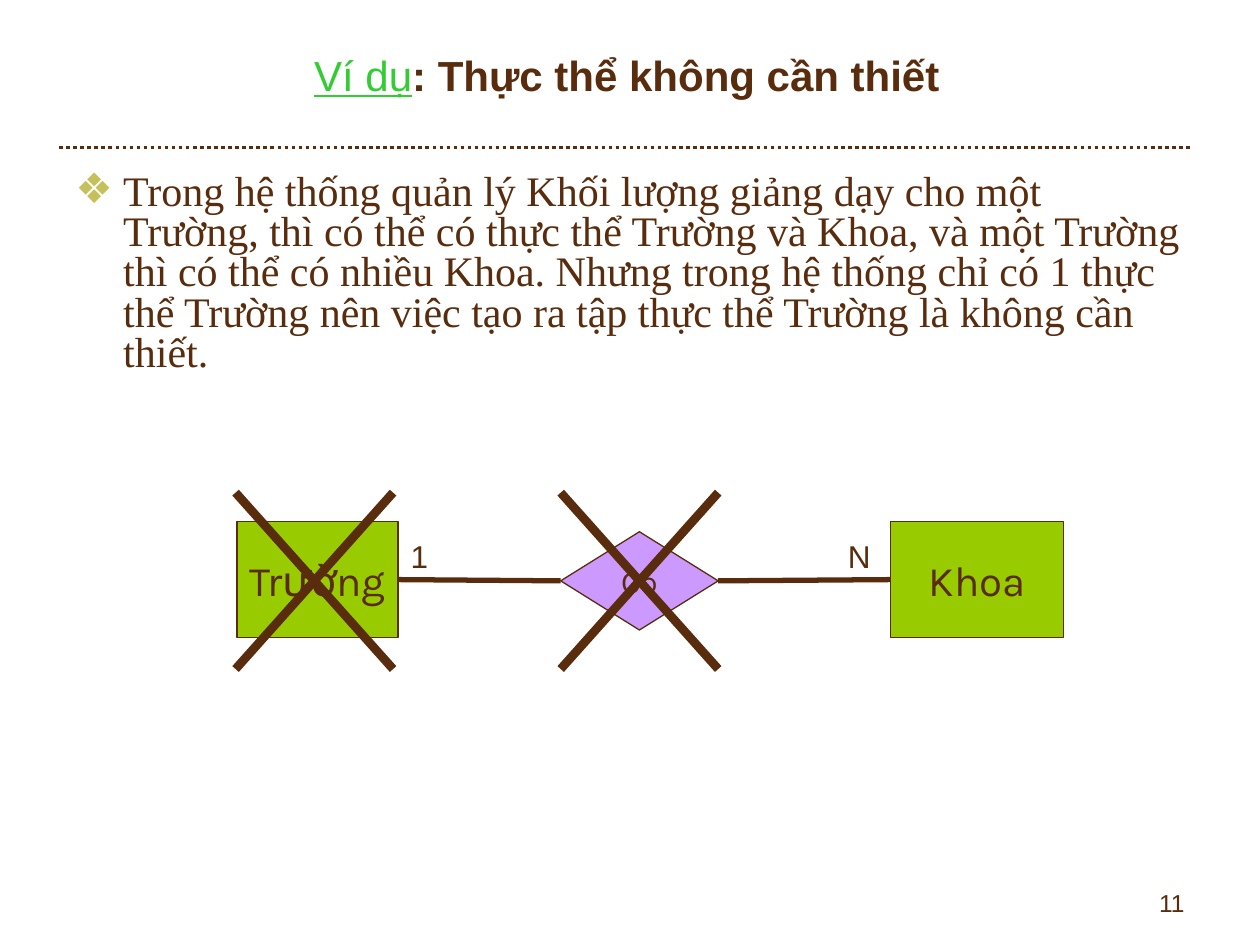
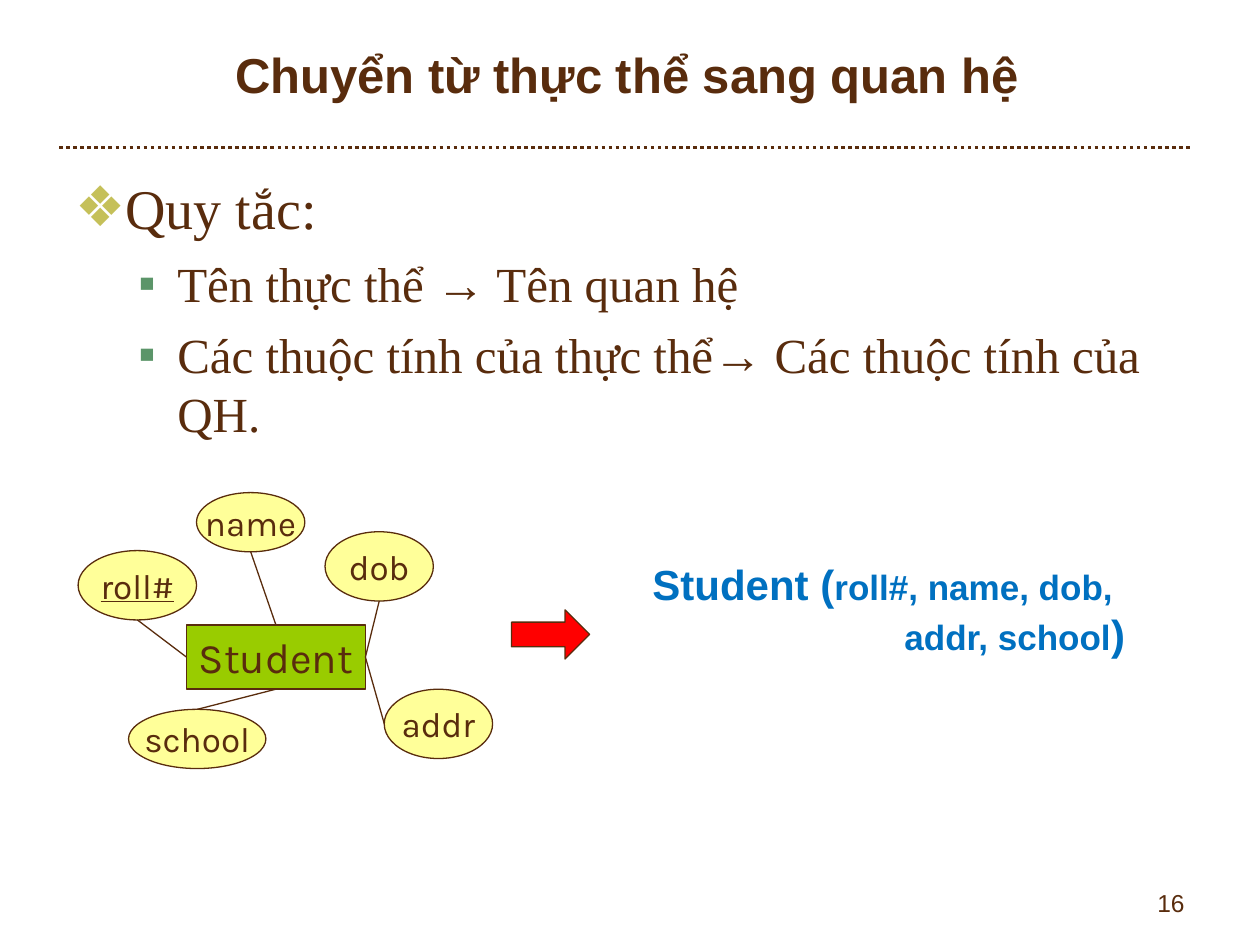
from dataclasses import dataclass
from lxml.etree import SubElement
from pptx import Presentation
from pptx.dml.color import RGBColor
from pptx.enum.dml import MSO_LINE
from pptx.enum.shapes import MSO_CONNECTOR, MSO_SHAPE
from pptx.enum.text import MSO_ANCHOR, MSO_AUTO_SIZE, PP_ALIGN
from pptx.oxml.ns import qn
from pptx.util import Inches, Pt


@dataclass(frozen=True)
class Theme:
    ink: str = "592C0D"
    accent: str = "33CC33"
    entity: str = "99CC00"
    relationship: str = "CC99FF"
    attribute: str = "FFFF99"
    arrow: str = "FF0000"
    schema: str = "0070C0"
    bullets: tuple = (("❖", "C5C059", 0.38, 0.38), ("▪", "5B9569", 0.81, 0.31))
    head_font: str = "Arial"
    body_font: str = "Times New Roman"
    shape_font: str = "Karla"
    body_size: int = 24
    large_size: int = 32
    title_size: int = 28
    attribute_size: int = 20
    label_size: int = 18
    number_size: int = 14
    thin: float = 0.75


T = Theme()
TITLE_BOX = (0.5, 0.17, 8.95, 0.84)
BODY_BOX = (0.5, 1.33, 9, 5.59)
NUMBER_BOX = (7.17, 7, 2.33, 0.35)


def inches(*values):
    return [Inches(v) for v in values]


def add_run(p, text, size, font=T.head_font, color=T.ink, bold=False, underline=False):
    r = p.add_run()
    r.text = text
    r.font.size, r.font.name = Pt(size), font
    r.font.bold, r.font.underline = bold, underline
    r.font.color.rgb = RGBColor.from_string(color)


def add_text(s, box):
    tf = s.shapes.add_textbox(*inches(*box)).text_frame
    tf.word_wrap = True
    return tf


def add_line(s, start, end, width=T.thin):
    line = s.shapes.add_connector(MSO_CONNECTOR.STRAIGHT, *inches(*start, *end))
    line.line.color.rgb = RGBColor.from_string(T.ink)
    line.line.width = Pt(width)
    SubElement(line._element.spPr, qn("a:effectLst"))
    return line


def add_node(s, kind, box, fill, text="", size=T.body_size, underline=False):
    sp = s.shapes.add_shape(kind, *inches(*box))
    sp.shadow.inherit = False
    sp.fill.solid()
    sp.fill.fore_color.rgb = RGBColor.from_string(fill)
    sp.line.color.rgb = RGBColor.from_string(T.ink)
    sp.line.width = Pt(T.thin)
    tf = sp.text_frame
    tf.word_wrap = False
    tf.vertical_anchor = MSO_ANCHOR.MIDDLE
    p = tf.paragraphs[0]
    p.alignment = PP_ALIGN.CENTER
    if text:
        add_run(p, text, size, T.shape_font, underline=underline)
    return sp


def add_bullet(p, level, before, spacing=None):
    char, color, margin, hanging = T.bullets[level]
    p.level = level
    p.space_before = Pt(before)
    if spacing:
        p.line_spacing = spacing
    pPr = p._p.get_or_add_pPr()
    pPr.set("marL", str(Inches(margin)))
    pPr.set("indent", str(-Inches(hanging)))
    SubElement(SubElement(pPr, qn("a:buClr")), qn("a:srgbClr"), val=color)
    SubElement(pPr, qn("a:buFont"), typeface=T.head_font)
    SubElement(pPr, qn("a:buChar"), char=char)


def add_slide(prs, number):
    s = prs.slides.add_slide(prs.slide_layouts[5])
    title = s.shapes.title
    title.left, title.top, title.width, title.height = inches(*TITLE_BOX)
    tf = title.text_frame
    tf.auto_size = MSO_AUTO_SIZE.NONE
    tf.vertical_anchor = MSO_ANCHOR.MIDDLE
    tf.paragraphs[0].alignment = PP_ALIGN.CENTER
    add_line(s, (0.47, 1.17), (9.45, 1.17), 2).line.dash_style = MSO_LINE.ROUND_DOT
    p = add_text(s, NUMBER_BOX).paragraphs[0]
    p.alignment = PP_ALIGN.RIGHT
    add_run(p, number, T.number_size)
    return s, tf.paragraphs[0]


def add_cross(s, box):
    x, y, w, h = box
    add_line(s, (x, y), (x + w, y + h), 5)
    add_line(s, (x + w, y), (x, y + h), 5)


def add_relationship_diagram(s, box):
    x, y, w, h = box
    rect, diamond = MSO_SHAPE.RECTANGLE, MSO_SHAPE.DIAMOND
    school = add_node(s, rect, (x + 0.01, y + 0.23, 1.28, 0.92), T.entity, "Trường")
    has = add_node(s, diamond, (x + 2.58, y + 0.31, 1.25, 0.78), T.relationship,
                   "Có", T.label_size)
    faculty = add_node(s, rect, (x + w - 1.37, y + 0.23, 1.37, 0.92), T.entity, "Khoa")
    for left, right in ((school, has), (has, faculty)):
        line = add_line(s, (x, y), (x + w, y), 3)
        line.begin_connect(left, 3)
        line.end_connect(right, 1)
    for label, dx in (("1", 1.29), ("N", 4.76)):
        p = add_text(s, (x + dx, y + 0.3, 0.39, 0.4)).paragraphs[0]
        add_run(p, label, T.label_size)
    for dx in (0, 2.58):
        add_cross(s, (x + dx, y, 1.25, h))


def add_attribute_diagram(s, box):
    x, y, w, h = box
    student = add_node(s, MSO_SHAPE.RECTANGLE, (x + 0.86, y + 1.05, 1.42, 0.51),
                       T.entity, "Student")
    attributes = (
        ("name", 0.94, 0, 0.86, 0.47, (0.5, 1), 0),
        ("dob", 1.96, 0.31, 0.86, 0.55, (0.5, 1), 3),
        ("addr", w - 0.86, 1.56, 0.86, 0.55, (0, 0.5), 3),
        ("roll#", 0, 0.46, 0.94, 0.55, (0.5, 1), 1),
        ("school", 0.4, h - 0.47, 1.09, 0.47, (0.5, 0), 2),
    )
    for name, dx, dy, aw, ah, (fx, fy), side in attributes:
        left, top = x + dx, y + dy
        add_node(s, MSO_SHAPE.OVAL, (left, top, aw, ah), T.attribute, name,
                 T.attribute_size, underline=name == "roll#")
        line = add_line(s, (left + aw * fx, top + ah * fy), (x, y))
        line.end_connect(student, side)


def add_schema(s, box):
    tf = add_text(s, box)
    first, second = tf.paragraphs[0], tf.add_paragraph()
    second._p.get_or_add_pPr().set("marL", str(Inches(2)))
    parts = (
        (first, "Student (", T.body_size),
        (first, "roll#, name, dob,", T.attribute_size),
        (second, "addr, school", T.attribute_size),
        (second, ")", T.body_size),
    )
    for p, text, size in parts:
        add_run(p, text, size, color=T.schema, bold=True)


def add_rules(s, box):
    tf = add_text(s, box)
    p = tf.paragraphs[0]
    add_bullet(p, 0, 8)
    add_run(p, "Quy tắc:", T.large_size, T.body_font)
    rules = (
        ("Tên thực thể ", " Tên quan hệ"),
        ("Các thuộc tính của thực thể", " Các thuộc tính của QH."),
    )
    for source, target in rules:
        p = tf.add_paragraph()
        add_bullet(p, 1, 7)
        add_run(p, source, T.title_size, T.body_font)
        add_run(p, "→", T.title_size)
        add_run(p, target, T.title_size, T.body_font)


def build_unneeded_entity(prs):
    s, title = add_slide(prs, "11")
    add_run(title, "Ví dụ", T.body_size, color=T.accent, underline=True)
    add_run(title, ": Thực thể không cần thiết", T.body_size, bold=True)
    p = add_text(s, BODY_BOX).paragraphs[0]
    add_bullet(p, 0, 6, 0.8)
    add_run(p, "Trong hệ thống quản lý Khối lượng giảng dạy cho một Trường, thì có thể "
            "có thực thể Trường và Khoa, và một Trường thì có thể có nhiều Khoa. Nhưng "
            "trong hệ thống chỉ có 1 thực thể Trường nên việc tạo ra tập thực thể Trường "
            "là không cần thiết.", T.body_size, T.body_font)
    add_relationship_diagram(s, (1.87, 3.91, 6.57, 1.4))


def build_entity_to_relation(prs):
    s, title = add_slide(prs, "16")
    add_run(title, "Chuyển từ thực thể sang quan hệ", T.title_size, bold=True)
    add_rules(s, BODY_BOX)
    add_attribute_diagram(s, (0.62, 3.91, 3.29, 2.19))
    add_node(s, MSO_SHAPE.RIGHT_ARROW, (4.06, 4.84, 0.62, 0.39), T.arrow)
    add_schema(s, (5.08, 4.38, 4.45, 0.9))


def main():
    prs = Presentation()
    prs.slide_width, prs.slide_height = inches(10, 7.5)
    build_unneeded_entity(prs)
    build_entity_to_relation(prs)
    prs.save("out.pptx")


if __name__ == "__main__":
    main()
